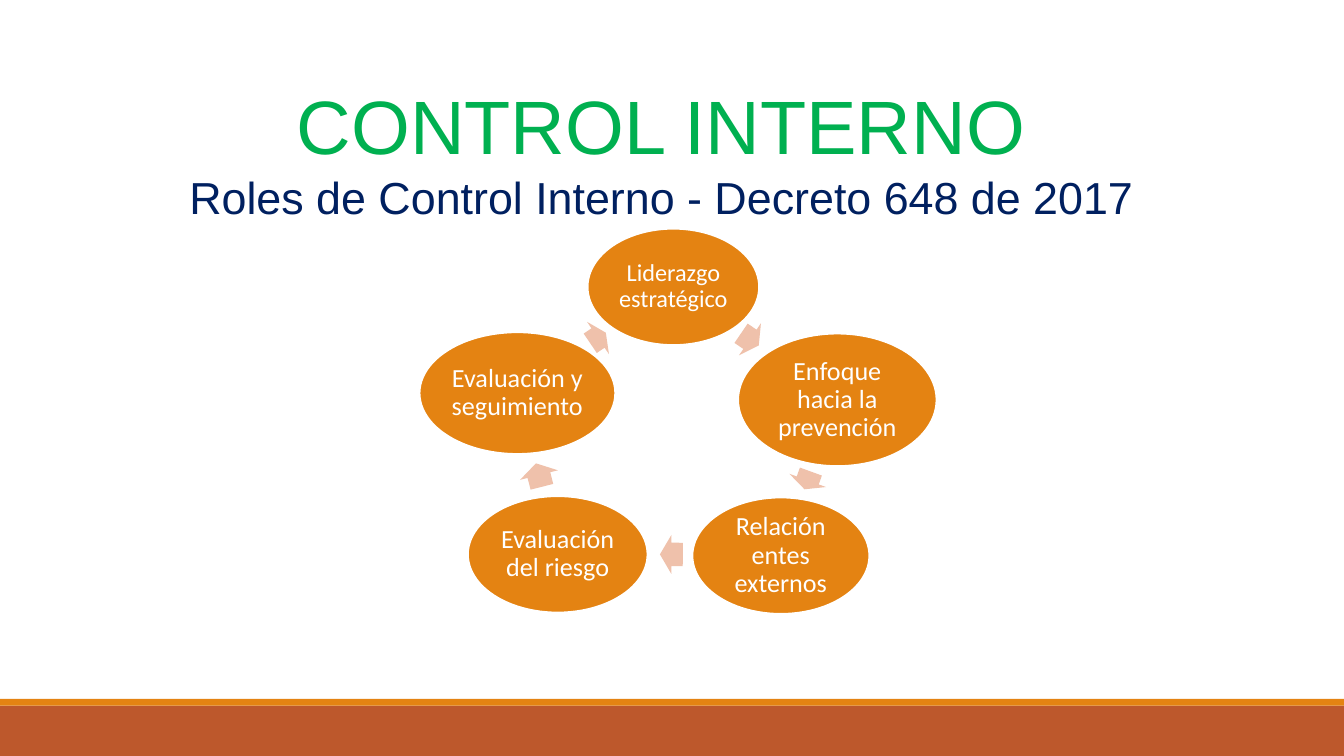
import pptx
import pptx.util
from pptx.dml.color import RGBColor
from pptx.enum.shapes import MSO_SHAPE
from pptx.enum.text import MSO_ANCHOR, MSO_AUTO_SIZE, PP_ALIGN
from pptx.util import Inches

# Content: heading lines as text, size, colour
HEADING = [
    ("CONTROL INTERNO", 40.5, "00B050"),
    ("Roles de Control Interno - Decreto 648 de 2017", 24, "002060"),
]
# Roles clockwise from the top: text, size, left, top, width, height
ROLES = [
    ("Liderazgo estratégico", 13, 4.37, 1.7, 1.28, 0.87),
    ("Enfoque hacia la prevención", 14, 5.49, 2.48, 1.48, 0.99),
    ("Relación entes externos", 14, 5.15, 3.7, 1.32, 0.87),
    ("Evaluación del riesgo", 14, 3.48, 3.69, 1.34, 0.87),
    ("Evaluación y seguimiento", 14, 3.12, 2.47, 1.46, 0.91),
]
# Arrow after each role: left, top, width, rotation
ARROWS = [
    (5.5, 2.38, 0.16, 34.4),
    (5.94, 3.43, 0.14, 109.9),
    (4.91, 3.98, 0.17, 180.2),
    (3.92, 3.39, 0.18, 255.8),
    (4.38, 2.37, 0.14, 325.9),
]
ARROW_HEIGHT = 0.29
# Footer bands: top, height, colour
BANDS = [(5.25, 0.38, "BD582C"), (5.2, 0.05, "E48312")]
ORANGE, PEACH, WHITE = "E48312", "EFC1AB", "FFFFFF"
SLIDE_WIDTH = 10
SLIDE_HEIGHT = SLIDE_WIDTH * 9 / 16


def paint(color_format, hex_color):
    color_format.rgb = RGBColor.from_string(hex_color)


def add_filled(kind, left, top, width, height, color, outline=None):
    shape = slide.shapes.add_shape(
        kind, Inches(left), Inches(top), Inches(width), Inches(height))
    shape.shadow.inherit = False
    shape.fill.solid()
    paint(shape.fill.fore_color, color)
    if outline:
        paint(shape.line.color, outline)
        shape.line.width = pptx.util.Pt(1.25)
    else:
        shape.line.fill.background()
    return shape


def format_line(paragraph, font_name, size, color):
    paragraph.alignment = PP_ALIGN.CENTER
    for run in paragraph.runs:
        run.font.name = font_name
        run.font.size = pptx.util.Pt(size)
        paint(run.font.color, color)


deck = pptx.Presentation()
deck.slide_width, deck.slide_height = Inches(SLIDE_WIDTH), Inches(SLIDE_HEIGHT)
slide = deck.slides.add_slide(deck.slide_layouts[5])

# Footer bands
for top, height, color in BANDS:
    add_filled(MSO_SHAPE.RECTANGLE, 0, top, SLIDE_WIDTH, height, color)

# Heading
heading = slide.shapes.title
heading.left, heading.top = Inches(0.28), Inches(0.54)
heading.width, heading.height = Inches(9.28), Inches(1.69)
heading_frame = heading.text_frame
heading_frame.auto_size = MSO_AUTO_SIZE.NONE
heading_frame.vertical_anchor = MSO_ANCHOR.TOP
heading_frame.margin_top = Inches(0.05)
heading_frame.text = "\n".join(text for text, _, _ in HEADING)
for paragraph, (_, size, color) in zip(heading_frame.paragraphs, HEADING):
    format_line(paragraph, "Arial", size, color)

# Cycle of roles, each followed by its arrow
for (text, size, *box), (left, top, width, angle) in zip(ROLES, ARROWS):
    role = add_filled(MSO_SHAPE.OVAL, *box, ORANGE, WHITE)
    frame = role.text_frame
    frame.word_wrap = True
    frame.vertical_anchor = MSO_ANCHOR.MIDDLE
    frame.margin_left = frame.margin_right = Inches(0.02)
    frame.margin_top = frame.margin_bottom = Inches(0.02)
    frame.text = text
    frame.paragraphs[0].line_spacing = 0.9
    format_line(frame.paragraphs[0], "Calibri", size, WHITE)

    arrow = add_filled(MSO_SHAPE.RIGHT_ARROW, left, top, width, ARROW_HEIGHT, PEACH)
    arrow.adjustments[0], arrow.adjustments[1] = 0.6, 0.5
    arrow.rotation = angle

deck.save("out.pptx")
